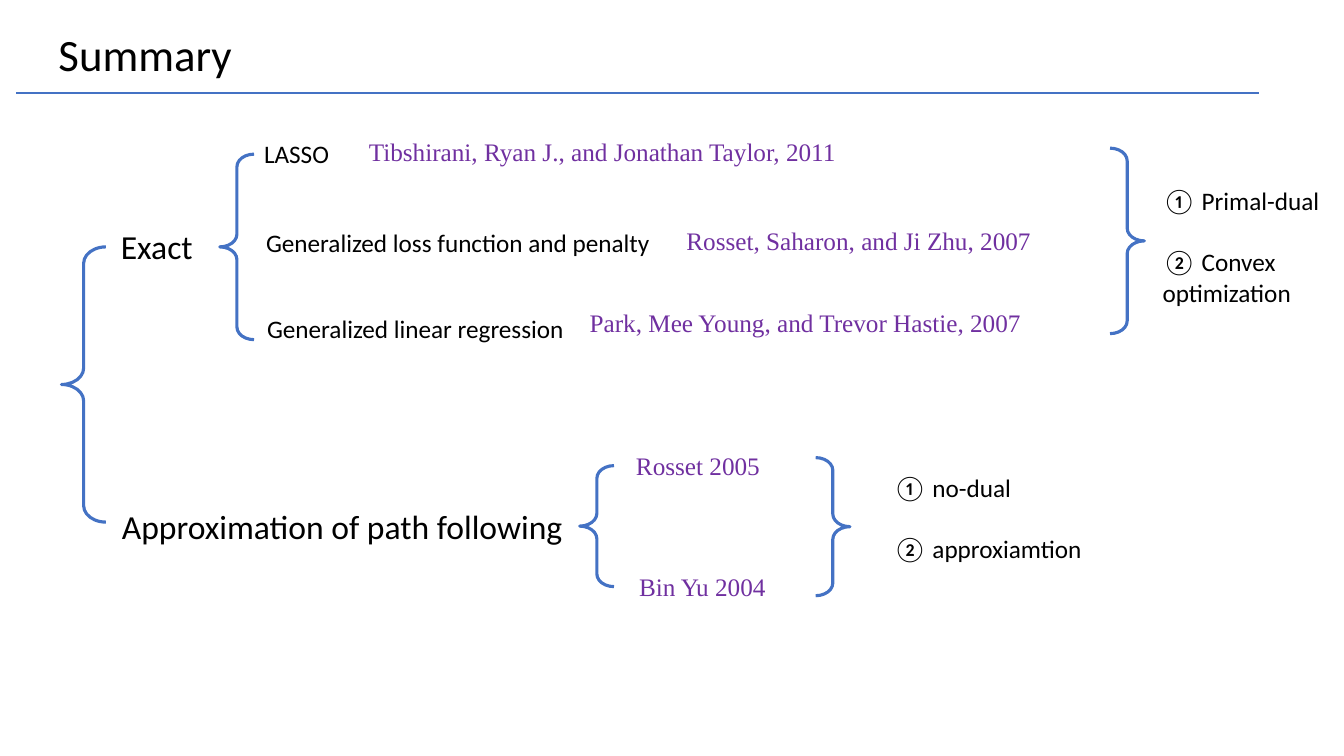
from lxml.etree import SubElement
from pptx import Presentation
from pptx.dml.color import RGBColor
from pptx.enum.shapes import MSO_CONNECTOR, MSO_SHAPE
from pptx.enum.text import MSO_ANCHOR, MSO_AUTO_SIZE, PP_ALIGN
from pptx.oxml.ns import qn
from pptx.util import Inches, Pt

BLACK = RGBColor(0x00, 0x00, 0x00)
BLUE = RGBColor(0x44, 0x72, 0xC4)
PURPLE = RGBColor(0x70, 0x30, 0xA0)
SANS, SERIF = "Calibri", "Times New Roman"

# Content: places are columns and rows of a grid of tenths of an inch
# Labels: text, left column, middle row, width
HEADS = [
    ("Exact", 11, 24.4, 9.2),
    ("Approximation of path following", 11.1, 52.2, 46.1),
]
TOPICS = [
    ("LASSO", 25.2, 15.2, 8.5),
    ("Generalized loss function and penalty", 25.4, 24.1, 41.1),
    ("Generalized linear regression", 25.5, 32.6, 31.8),
]
CITES = [
    ("Tibshirani, Ryan J., and Jonathan Taylor, 2011", 35.6, 15, 70.6),
    ("Rosset, Saharon, and Ji Zhu, 2007", 67.1, 23.9, 43.8),
    ("Park, Mee Young, and Trevor Hastie, 2007", 57.5, 32, 66.7),
    ("Rosset 2005", 62.1, 46.2, 17.6),
    ("Bin Yu 2004", 62.4, 58.2, 17),
]
# Lists: lines, left column, middle row, width, height
NOTES = [
    (["① Primal-dual", "② Convex optimization"], 114.3, 24.45, 17.7, 13.1),
    (["① no-dual", "② approxiamtion"], 87.6, 51.35, 21.3, 10.1),
]
# Braces: shape, left column, middle row, width, height
LEFT, RIGHT = MSO_SHAPE.LEFT_BRACE, MSO_SHAPE.RIGHT_BRACE
BRACES = [
    (LEFT, 6.1, 38.15, 4.4, 27.3),
    (LEFT, 21.8, 24.5, 3.4, 18.4),
    (LEFT, 57.5, 52.2, 3.4, 12),
    (RIGHT, 110.1, 23.9, 3.4, 18.4),
    (RIGHT, 80.9, 52.25, 3.4, 13.7),
]
RULE = (1.6, 124.9, 9.2)  # start column, end column, row


def grid(n):
    return Inches(n / 10)


def area(left, mid, wide, high):
    return [grid(n) for n in (left, mid - high / 2, wide, high)]


def put(shape, box, lines, size=18, font=SANS, color=BLACK, wrap=False, gap=0):
    shape.left, shape.top, shape.width, shape.height = box
    frame = shape.text_frame
    frame.auto_size = MSO_AUTO_SIZE.NONE
    frame.word_wrap = wrap
    frame.vertical_anchor = MSO_ANCHOR.MIDDLE
    frame.text = "\n".join(lines)
    for para in frame.paragraphs:
        para.alignment = PP_ALIGN.LEFT
        para.space_before, para.space_after = Pt(0), Pt(gap)
        face = para.runs[0].font
        face.size, face.name, face.color.rgb = Pt(size), font, color
    frame.paragraphs[-1].space_after = Pt(0)


deck = Presentation()
deck.slide_width, deck.slide_height = Inches(13.33), Inches(7.5)
slide = deck.slides.add_slide(deck.slide_layouts[3])
shapes = slide.shapes

# Title and the rule below it
put(shapes.title, area(4.8, 5.3, 20.4, 6.4), ["Summary"], size=32)
start, end, row = RULE
rule = shapes.add_connector(
    MSO_CONNECTOR.STRAIGHT, grid(start), grid(row), grid(end), grid(row))
rule.line.color.rgb, rule.line.width = BLUE, Pt(1.5)
SubElement(rule.element.spPr, qn("a:effectLst"))

# Braces
for kind, *place in BRACES:
    brace = shapes.add_shape(kind, *area(*place))
    brace.adjustments[0] = 0.37
    brace.shadow.inherit = False
    brace.fill.background()
    brace.line.color.rgb, brace.line.width = BLUE, Pt(2.25)

# Labels
for group, high, style in (
    (HEADS, 5, dict(size=24)),
    (TOPICS, 4, dict()),
    (CITES, 4, dict(font=SERIF, color=PURPLE)),
):
    for text, *place in group:
        box = area(*place, high)
        put(shapes.add_textbox(*box), box, [text], **style)

# Numbered lists, with the template's bullets off
for slot, (lines, *place) in enumerate(NOTES, 1):
    body = slide.placeholders[slot]
    put(body, area(*place), lines, wrap=True, gap=22)
    for para in body.text_frame.paragraphs:
        props = para._p.get_or_add_pPr()
        props.set("marL", "0")
        props.set("indent", "0")
        SubElement(props, qn("a:buNone"))

deck.save("out.pptx")
